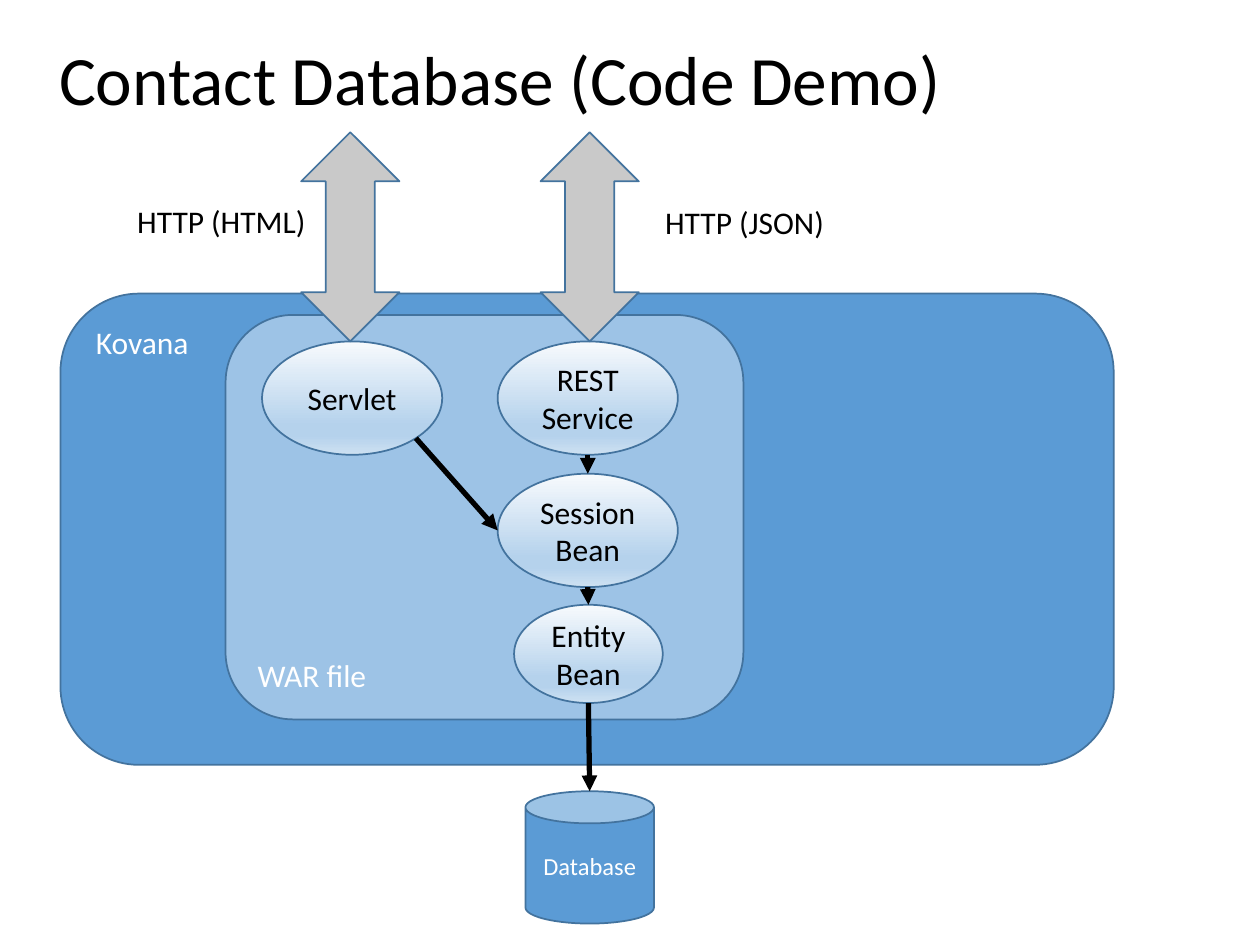
from dataclasses import dataclass

from lxml import etree
from pptx import Presentation
from pptx.dml.color import RGBColor
from pptx.enum.shapes import MSO_CONNECTOR, MSO_SHAPE
from pptx.enum.text import MSO_ANCHOR, PP_ALIGN
from pptx.oxml import parse_xml
from pptx.oxml.ns import nsdecls, qn
from pptx.util import Inches, Pt

ROUND, OVAL = MSO_SHAPE.ROUNDED_RECTANGLE, MSO_SHAPE.OVAL
CAN, ARROW = MSO_SHAPE.CAN, MSO_SHAPE.UP_DOWN_ARROW
STRAIGHT = MSO_CONNECTOR.STRAIGHT
TOP, MIDDLE, BOTTOM = MSO_ANCHOR.TOP, MSO_ANCHOR.MIDDLE, MSO_ANCHOR.BOTTOM
LEFT, CENTER = PP_ALIGN.LEFT, PP_ALIGN.CENTER

FONT = "Calibri"
BLACK, WHITE = "000000", "FFFFFF"
BLUE, LIGHT_BLUE, GREY, OUTLINE = "5B9BD5", "9DC3E6", "C9C9C9", "43739E"
OVAL_STOPS = ((0, "F7FAFD"), (74, "B5D2EC"), (83, "B5D2EC"), (100, "CEE1F2"))

prs = Presentation()
prs.slide_width, prs.slide_height = Inches(10), Inches(7.5)
s = prs.slides.add_slide(prs.slide_layouts[6])


@dataclass(frozen=True)
class Box:
    """A rectangle in percent of the slide's width and height."""
    x: float
    y: float
    w: float
    h: float

    def emu(self) -> tuple[int, int, int, int]:
        return (*to_emu(self.x, self.y), *to_emu(self.w, self.h))

    def point(self, across: float, down: float) -> tuple[int, int]:
        return to_emu(self.x + across * self.w, self.y + down * self.h)


def to_emu(x: float, y: float) -> tuple[int, int]:
    return int(prs.slide_width * x / 100), int(prs.slide_height * y / 100)


def color(value: str) -> RGBColor:
    return RGBColor.from_string(value)


def write(sp, text: str, *, size: float = 18, ink: str = BLACK, anchor=MIDDLE,
          align=CENTER, wrap: bool = True, spacing: float = 1.0) -> None:
    tf = sp.text_frame
    tf.word_wrap, tf.vertical_anchor = wrap, anchor
    for i, line in enumerate(text.split("\n")):
        p = tf.add_paragraph() if i else tf.paragraphs[0]
        p.alignment, p.line_spacing = align, spacing
        r = p.add_run()
        r.text = line
        r.font.name, r.font.size = FONT, Pt(size)
        r.font.color.rgb = color(ink)


def add_label(box: Box, text: str, **fmt) -> None:
    write(s.shapes.add_textbox(*box.emu()), text, align=LEFT, **fmt)


def add_shape(kind, box: Box, fill: str, text: str = "", **fmt):
    sp = s.shapes.add_shape(kind, *box.emu())
    sp.shadow.inherit = False
    sp.fill.solid()
    sp.fill.fore_color.rgb = color(fill)
    sp.line.color.rgb = color(OUTLINE)
    sp.line.width = Pt(1)
    if text:
        write(sp, text, **fmt)
    return sp


def add_oval(box: Box, text: str) -> None:
    sp = add_shape(OVAL, box, WHITE, text)
    stops = "".join(f'<a:gs pos="{pos * 1000}"><a:srgbClr val="{c}"/></a:gs>'
                    for pos, c in OVAL_STOPS)
    solid = sp._element.spPr.find(qn("a:solidFill"))
    solid.getparent().replace(solid, parse_xml(
        f'<a:gradFill {nsdecls("a")}><a:gsLst>{stops}</a:gsLst>'
        '<a:lin ang="5400000" scaled="0"/></a:gradFill>'))


def add_flow(start: tuple[int, int], end: tuple[int, int]) -> None:
    c = s.shapes.add_connector(STRAIGHT, *start, *end)
    c.line.color.rgb = color(BLACK)
    c.line.width = Pt(3)
    etree.SubElement(c.line._get_or_add_ln(), qn("a:tailEnd"), type="triangle")
    etree.SubElement(c._element.spPr, qn("a:effectLst"))


server = Box(4.8, 31.07, 83.6, 49.87)
war_file = Box(17.9, 33.33, 41.1, 42.8)
servlet = Box(20.8, 36.13, 14.3, 12)
rest = Box(39.5, 36.13, 14.3, 12)
session = Box(39.5, 50.13, 14.3, 12)
entity = Box(40.8, 64, 11.8, 10.4)
database = Box(41.7, 83.73, 10.2, 14)

add_shape(ROUND, server, BLUE, "Kovana", ink=WHITE, anchor=TOP, align=LEFT)
add_shape(ROUND, war_file, LIGHT_BLUE, "WAR file", ink=WHITE, anchor=BOTTOM, align=LEFT)
add_label(Box(3.7, 3.73, 86.2, 10), "Contact Database (Code Demo)", size=39.6, spacing=0.9)
add_shape(CAN, database, BLUE, "Database", size=14, ink=WHITE)

for box, name in ((entity, "Entity Bean"), (session, "Session Bean"),
                  (rest, "REST\nService"), (servlet, "Servlet")):
    add_oval(box, name)

for upper, lower in ((rest, session), (session, entity), (entity, database)):
    add_flow(upper.point(0.5, 1), lower.point(0.5, 0))
DIAGONAL = 0.5 + 0.5 ** 1.5  # where an oval's outline meets 45 degrees
add_flow(servlet.point(DIAGONAL, DIAGONAL), session.point(0, 0.5))

for x in (23.9, 42.9):
    add_shape(ARROW, Box(x, 14, 7.8, 22.13), GREY)
add_label(Box(9.9, 20.67, 15.5, 5.33), "HTTP (HTML)", anchor=TOP, wrap=False)
add_label(Box(51.8, 20.8, 14.8, 5.33), "HTTP (JSON)", anchor=TOP, wrap=False)

prs.save("out.pptx")
